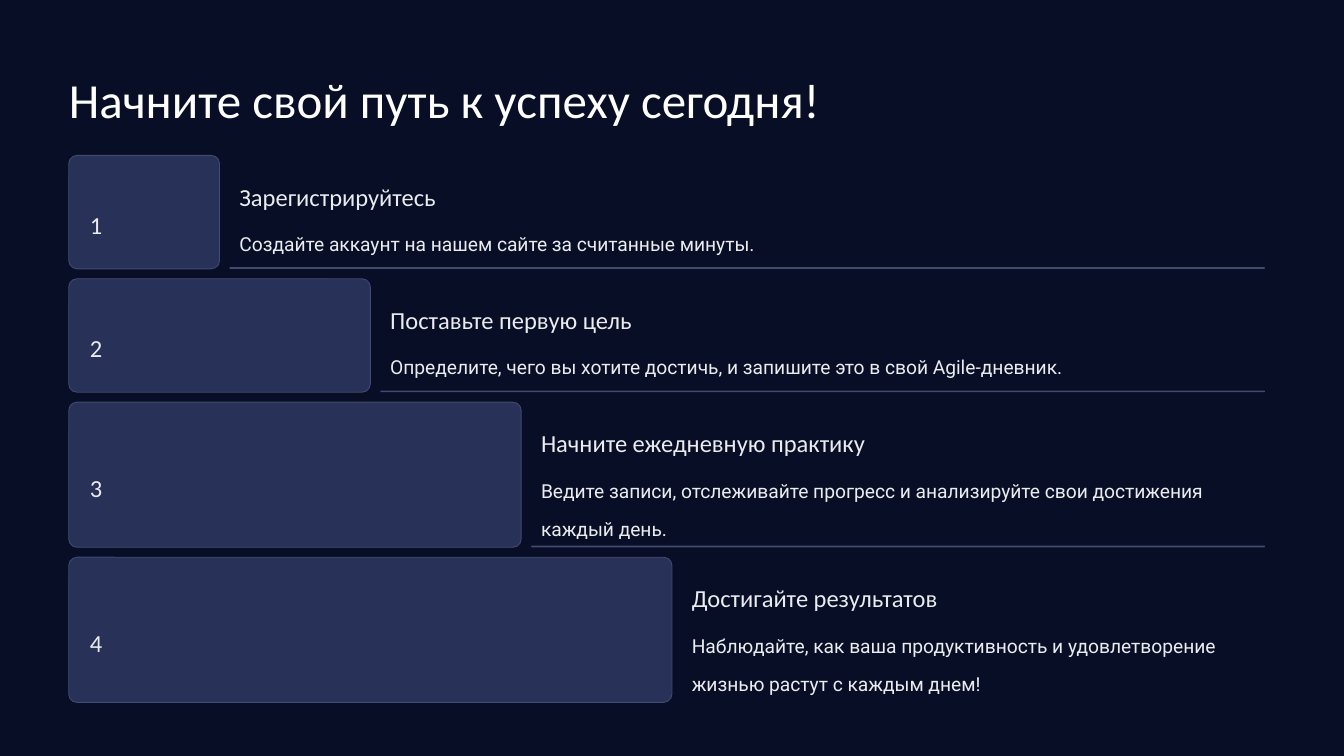
"""Build a slide with four growing steps towards success."""
from dataclasses import dataclass

from pptx import Presentation
from pptx.dml.color import RGBColor
from pptx.enum.shapes import MSO_SHAPE as Preset
from pptx.enum.text import MSO_ANCHOR as Anchor, MSO_AUTO_SIZE as AutoSize, PP_ALIGN as Align
from pptx.shapes.autoshape import Shape
from pptx.slide import Slide
from pptx.util import Cm, Pt

NIGHT = RGBColor(0x08, 0x0E, 0x26)
INDIGO = RGBColor(0x28, 0x31, 0x57)
SLATE = RGBColor(0x41, 0x4A, 0x70)
WHITE = RGBColor(0xFF, 0xFF, 0xFF)
PALE = RGBColor(0xEB, 0xEC, 0xEF)

MARGIN = 2.08
FIRST_TOP = 4.7
BLOCK_STEP = 4.56
BLOCK_GAP = 0.3
CORNER_RADIUS = 0.25
DIVIDER_RIGHT = 38.25
DIVIDER_HEIGHT = 0.05
NUMBER_HEIGHT = 1.19


@dataclass(frozen=True)
class Box:
    left: float
    top: float
    width: float
    height: float

    def lengths(self) -> tuple[Cm, Cm, Cm, Cm]:
        return Cm(self.left), Cm(self.top), Cm(self.width), Cm(self.height)


@dataclass(frozen=True)
class TextStyle:
    font: str
    size: float
    color: RGBColor
    spacing: float
    align: Align = Align.LEFT


@dataclass(frozen=True)
class Step:
    heading: str
    heading_width: float
    advice: str
    advice_width: float
    advice_height: float
    height: float


TITLE = TextStyle("Calibri", 42, WHITE, 1.25)
NUMBER = TextStyle("Calibri", 21, PALE, 1.6, Align.CENTER)
HEADING = TextStyle("Calibri", 21, PALE, 1.24)
ADVICE = TextStyle("Roboto", 16.5, PALE, 1.64)

STEPS = [
    Step("Зарегистрируйтесь", 7.44,
         "Создайте аккаунт на нашем сайте за считанные минуты.", 16.48, 0.96, 3.43),
    Step("Поставьте первую цель", 8.59,
         "Определите, чего вы хотите достичь, и запишите это в свой Agile-дневник.",
         21.97, 0.96, 3.43),
    Step("Начните ежедневную практику", 11.35,
         "Ведите записи, отслеживайте прогресс и анализируйте свои достижения каждый день.",
         21.59, 1.91, 4.39),
    Step("Достигайте результатов", 8.74,
         "Наблюдайте, как ваша продуктивность и удовлетворение жизнью растут с каждым днем!",
         17.04, 1.91, 4.39),
]


def write(holder: Shape, text: str, style: TextStyle) -> None:
    frame = holder.text_frame
    frame.text = text
    frame.word_wrap = True
    frame.auto_size = AutoSize.NONE
    frame.vertical_anchor = Anchor.TOP
    frame.margin_left = frame.margin_right = frame.margin_top = frame.margin_bottom = 0
    line = frame.paragraphs[0]
    line.alignment = style.align
    line.line_spacing = style.spacing
    font = line.runs[0].font
    font.name = style.font
    font.size = Pt(style.size)
    font.color.rgb = style.color


def add_text(slide: Slide, box: Box, text: str, style: TextStyle) -> None:
    write(slide.shapes.add_textbox(*box.lengths()), text, style)


def add_rounded(slide: Slide, box: Box, fill: RGBColor) -> Shape:
    rounded = slide.shapes.add_shape(Preset.ROUNDED_RECTANGLE, *box.lengths())
    rounded.adjustments[0] = min(0.5, CORNER_RADIUS / box.height)
    rounded.shadow.inherit = False
    rounded.fill.solid()
    rounded.fill.fore_color.rgb = fill
    rounded.line.fill.background()
    return rounded


def add_step(slide: Slide, number: int, step: Step, top: float) -> None:
    width = BLOCK_STEP * number
    block = add_rounded(slide, Box(MARGIN, top, width, step.height), INDIGO)
    block.line.color.rgb = SLATE
    block.line.width = Pt(0.75)

    number_top = top + (step.height - NUMBER_HEIGHT) / 2
    add_text(slide, Box(2.68, number_top, 0.45, NUMBER_HEIGHT), str(number), NUMBER)

    text_left = MARGIN + width + 2 * BLOCK_GAP
    add_text(slide, Box(text_left, top + 0.58, step.heading_width, 0.94),
             step.heading, HEADING)
    add_text(slide, Box(text_left, top + 1.88, step.advice_width, step.advice_height),
             step.advice, ADVICE)

    if number < len(STEPS):
        left = MARGIN + width + BLOCK_GAP
        add_rounded(slide, Box(left, top + step.height - DIVIDER_HEIGHT,
                               DIVIDER_RIGHT - left, DIVIDER_HEIGHT), SLATE)


def main() -> None:
    deck = Presentation()
    deck.slide_width, deck.slide_height = Cm(40.64), Cm(22.86)
    slide = deck.slides.add_slide(deck.slide_layouts[5])
    slide.background.fill.solid()
    slide.background.fill.fore_color.rgb = NIGHT

    title = slide.shapes.title
    title.left, title.top, title.width, title.height = Box(MARGIN, 1.65, 26.26, 1.85).lengths()
    write(title, "Начните свой путь к успеху сегодня!", TITLE)

    top = FIRST_TOP
    for number, step in enumerate(STEPS, start=1):
        add_step(slide, number, step, top)
        top += step.height + BLOCK_GAP

    deck.save("out.pptx")


if __name__ == "__main__":
    main()
